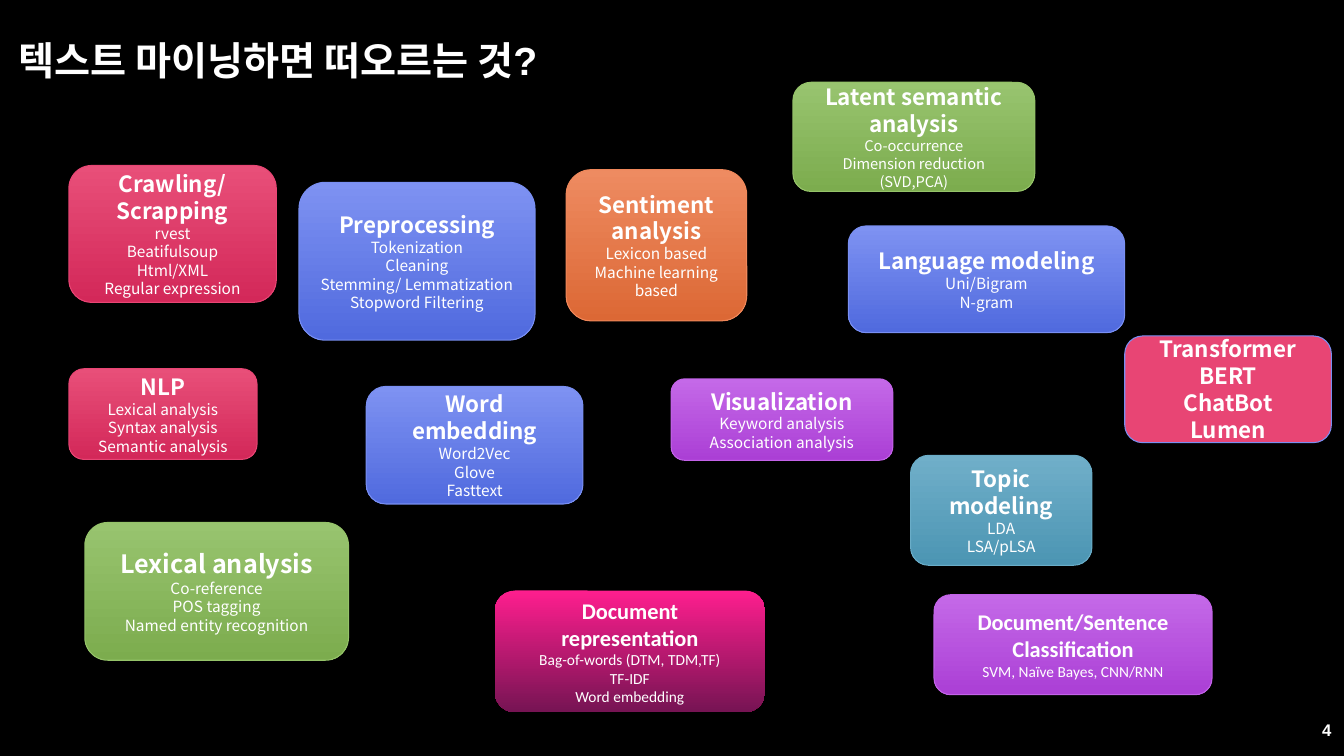
from dataclasses import dataclass

from pptx import Presentation
from pptx import util as u
from pptx.dml.color import RGBColor
from pptx.enum import shapes, text

COLUMNS, ROWS = 160, 90
CELL = u.Inches(7.5) / ROWS

BLACK = RGBColor(0x00, 0x00, 0x00)
WHITE = RGBColor(0xFF, 0xFF, 0xFF)
SANS, KOREAN, PLAIN = "Arial", "Noto Sans CJK KR", "Calibri"


@dataclass(frozen=True)
class Palette:
    top: RGBColor
    bottom: RGBColor
    line: RGBColor | None


BLUE = Palette(RGBColor(0x7E, 0x92, 0xF2), RGBColor(0x50, 0x6A, 0xDE), RGBColor(0x79, 0x8F, 0xF2))
GREEN = Palette(RGBColor(0x98, 0xC4, 0x6F), RGBColor(0x7C, 0xAC, 0x4E), RGBColor(0x95, 0xC3, 0x69))
RED = Palette(RGBColor(0xE8, 0x4F, 0x79), RGBColor(0xD3, 0x28, 0x59), RGBColor(0xE8, 0x45, 0x74))
TEAL = Palette(RGBColor(0x70, 0xAF, 0xC9), RGBColor(0x4C, 0x95, 0xB3), RGBColor(0x6A, 0xAD, 0xC8))
PURPLE = Palette(RGBColor(0xC4, 0x69, 0xE8), RGBColor(0xAB, 0x3F, 0xD5), RGBColor(0xC3, 0x63, 0xE8))
ORANGE = Palette(RGBColor(0xEE, 0x8B, 0x61), RGBColor(0xDC, 0x68, 0x35), RGBColor(0xEE, 0x87, 0x5A))
MAGENTA = Palette(RGBColor(0xFE, 0x1E, 0x8E), RGBColor(0x76, 0x14, 0x53), None)
FLAT_RED = Palette(RED.line, RED.line, BLUE.line)


@dataclass(frozen=True)
class Topic:
    """A rounded card; box (left, top, width, height) and margin are in grid cells."""
    box: tuple[float, float, float, float]
    palette: Palette
    heading: list[str]
    details: list[str]
    font: str = KOREAN
    heading_size: float = 16
    detail_size: float = 11
    margin: float = 1.2


TOPICS = [
    Topic((43.6, 46, 25.8, 14), BLUE, ["Word embedding"], ["Word2Vec", "Glove", "Fasttext"]),
    Topic((94.4, 9.8, 28.8, 13), GREEN, ["Latent semantic analysis"],
          ["Co-occurrence", "Dimension reduction", "(SVD,PCA)"], detail_size=10.5),
    Topic((8.2, 19.7, 24.7, 16.3), RED, ["Crawling/", "Scrapping"],
          ["rvest", "Beatifulsoup", "Html/XML", "Regular expression"]),
    Topic((108.4, 54.2, 21.6, 13.1), TEAL, ["Topic modeling"], ["LDA", "LSA/pLSA"]),
    Topic((111.2, 70.8, 33.1, 11.9), PURPLE, ["Document/Sentence", "Classification"],
          ["SVM, Naïve Bayes, CNN/RNN"], font=PLAIN),
    Topic((58.9, 70.3, 32.2, 14.5), MAGENTA, ["Document representation"],
          ["Bag-of-words (DTM, TDM,TF)", "TF-IDF", "Word embedding"], font=PLAIN, margin=3),
    Topic((101, 26.9, 32.9, 12.7), BLUE, ["Language modeling"], ["Uni/Bigram", "N-gram"]),
    Topic((10.1, 62.2, 31.4, 16.4), GREEN, ["Lexical analysis"],
          ["Co-reference", "POS tagging", "Named entity recognition"], heading_size=18),
    Topic((79.9, 45.1, 26.4, 9.7), PURPLE, ["Visualization"],
          ["Keyword analysis", "Association analysis"]),
    Topic((67.4, 20.2, 21.5, 18), ORANGE, ["Sentiment analysis"],
          ["Lexicon based", "Machine learning based"]),
    Topic((8.2, 43.9, 22.4, 10.8), RED, ["NLP"],
          ["Lexical analysis", "Syntax analysis", "Semantic analysis"]),
    Topic((35.6, 21.7, 28.1, 18.8), BLUE, ["Preprocessing"],
          ["Tokenization", "Cleaning", "Stemming/ Lemmatization", "Stopword Filtering"]),
    Topic((133.9, 40, 24.6, 12.7), FLAT_RED, ["Transformer", "BERT", "ChatBot", "Lumen"], []),
]


def cells(*counts: float) -> list[int]:
    return [round(n * CELL) for n in counts]


def add_run(p, words: str, font: str, size: float, bold: bool) -> None:
    r = p.add_run()
    r.text = words
    r.font.name, r.font.size, r.font.bold = font, u.Pt(size), bold
    r.font.color.rgb = WHITE


def paint(sp, palette: Palette) -> None:
    if palette.top == palette.bottom:
        sp.fill.solid()
        sp.fill.fore_color.rgb = palette.top
    else:
        sp.fill.gradient()
        sp.fill.gradient_angle = 270
        for stop, color, position in zip(sp.fill.gradient_stops, (palette.top, palette.bottom), (0, 1)):
            stop.color.rgb, stop.position = color, position
    if palette.line is None:
        sp.line.fill.background()
    else:
        sp.line.color.rgb, sp.line.width = palette.line, u.Pt(0.75)


def add_topic(s, topic: Topic) -> None:
    sp = s.shapes.add_shape(shapes.MSO_SHAPE.ROUNDED_RECTANGLE, *cells(*topic.box))
    sp.shadow.inherit = False
    paint(sp, topic.palette)
    tf = sp.text_frame
    tf.word_wrap, tf.vertical_anchor = True, text.MSO_ANCHOR.MIDDLE
    tf.margin_left, tf.margin_right = cells(topic.margin, topic.margin)
    lines = [(words, topic.heading_size, True) for words in topic.heading]
    lines += [(words, topic.detail_size, False) for words in topic.details]
    for i, (words, size, bold) in enumerate(lines):
        p = tf.add_paragraph() if i else tf.paragraphs[0]
        p.alignment = text.PP_ALIGN.CENTER
        add_run(p, words, topic.font, size, bold)


def add_line(sp, box: tuple, words: str, size: float, alignment: text.PP_ALIGN) -> None:
    """Place a shape on the grid and give it one line of bold text."""
    sp.left, sp.top, sp.width, sp.height = cells(*box)
    tf = sp.text_frame
    tf.word_wrap, tf.vertical_anchor = True, text.MSO_ANCHOR.MIDDLE
    p = tf.paragraphs[0]
    p.alignment = alignment
    add_run(p, words, SANS, size, True)


def main() -> None:
    prs = Presentation()
    prs.slide_width, prs.slide_height = cells(COLUMNS, ROWS)
    s = prs.slides.add_slide(prs.slide_layouts[5])
    s.background.fill.solid()
    s.background.fill.fore_color.rgb = BLACK
    add_line(s.shapes.title, (1, 2.8, 133, 8.6), "텍스트 마이닝하면 떠오르는 것?", 28, text.PP_ALIGN.LEFT)
    page_number = s.shapes.add_textbox(0, 0, 0, 0)
    add_line(page_number, (57, 84.4, 102.7, 4.9), "4", 12, text.PP_ALIGN.RIGHT)
    for topic in TOPICS:
        add_topic(s, topic)
    prs.save("out.pptx")


if __name__ == "__main__":
    main()
